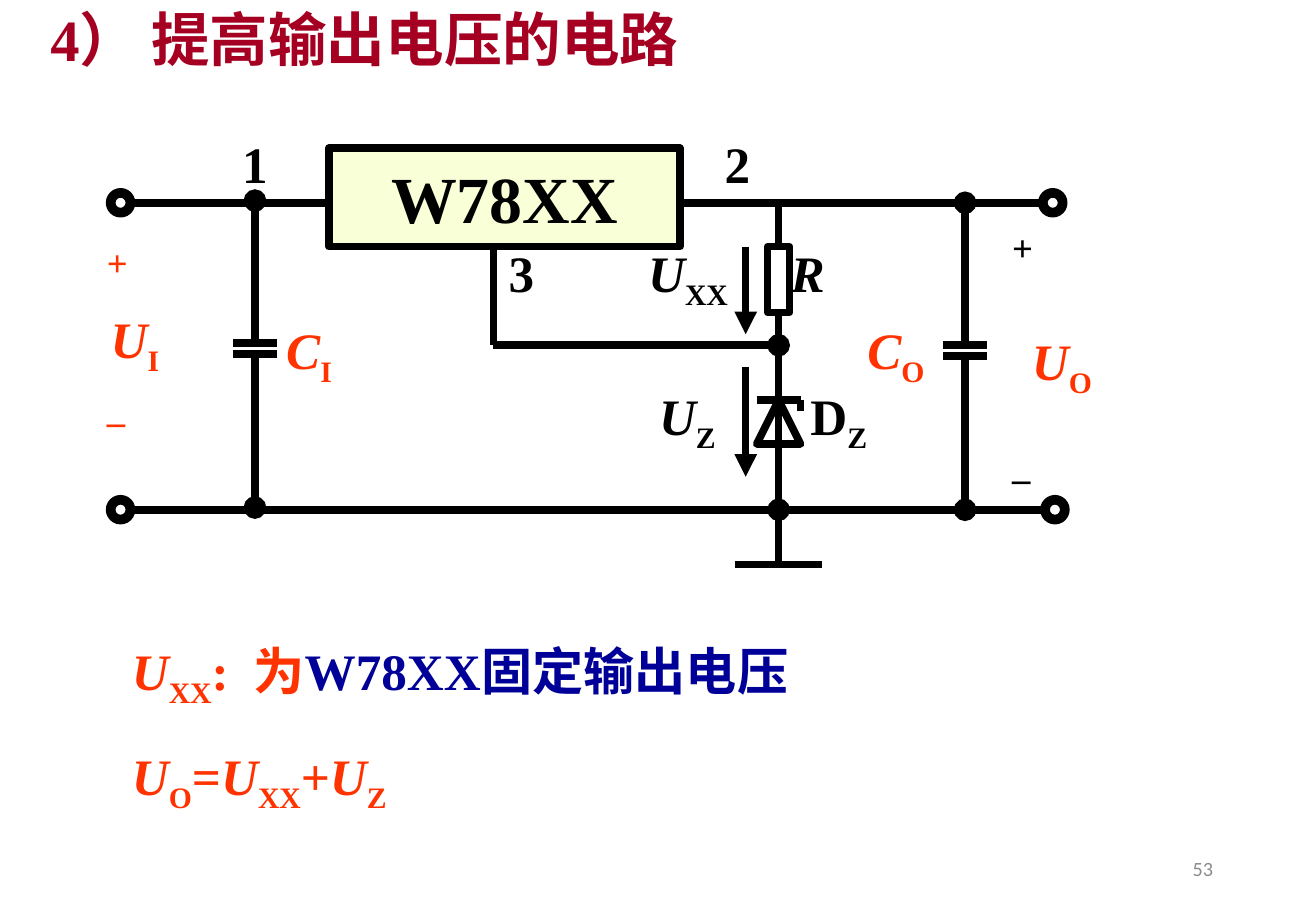
from dataclasses import dataclass

from lxml.etree import SubElement
from pptx import Presentation
from pptx.dml.color import RGBColor
from pptx.enum.shapes import MSO_CONNECTOR, MSO_SHAPE
from pptx.enum.text import MSO_ANCHOR as ANCHOR
from pptx.enum.text import MSO_AUTO_SIZE, PP_ALIGN
from pptx.oxml.ns import qn
from pptx.util import Inches, Pt

BLACK = RGBColor(0x00, 0x00, 0x00)
ORANGE = RGBColor(0xFF, 0x33, 0x00)
NAVY = RGBColor(0x00, 0x00, 0x99)
CRIMSON = RGBColor(0xA5, 0x00, 0x21)
CREAM = RGBColor(0xF9, 0xFF, 0xD7)
GREY = RGBColor(0x8C, 0x8C, 0x8C)
SERIF, SANS = "Times New Roman", "Calibri"
WIDTH, HEIGHT = Inches(10.83), Inches(7.5)
CELL = WIDTH / 120  # the slide is 120 square cells wide
WIRE = Pt(4.5)
SYMBOL_SIZE = 30.3


@dataclass
class Grid:
    """A region whose parts are placed in cells from its top left corner."""
    left: float
    top: float

    def at(self, col, row):
        return round((self.left + col) * CELL), round((self.top + row) * CELL)

    def box(self, col, row, cols, rows):
        return *self.at(col, row), round(cols * CELL), round(rows * CELL)


def share(left, top, width, height):
    return (round(WIDTH * left), round(HEIGHT * top),
            round(WIDTH * width), round(HEIGHT * height))


# Text helpers
def add_run(paragraph, text, size, color, style="", face=SERIF, bold=True):
    """Style letters: i for italic, s for subscript."""
    run = paragraph.add_run()
    run.text = text
    run.font.name, run.font.size, run.font.bold = face, Pt(size), bold
    run.font.italic = "i" in style
    run.font.color.rgb = color
    if "s" in style:
        run._r.get_or_add_rPr().set("baseline", "-25000")


def place(shape, box):
    shape.left, shape.top, shape.width, shape.height = box
    frame = shape.text_frame
    frame.word_wrap = True
    frame.auto_size = MSO_AUTO_SIZE.NONE
    frame.vertical_anchor = ANCHOR.TOP
    return frame


def add_symbol(slide, box, letter, subscript="", color=BLACK, style="i"):
    symbol = place(slide.shapes.add_textbox(*box), box).paragraphs[0]
    add_run(symbol, letter, SYMBOL_SIZE, color, style)
    if subscript:
        add_run(symbol, subscript, SYMBOL_SIZE, color, "s")


def add_polarity(slide, box, color, gap):
    signs = place(slide.shapes.add_textbox(*box), box)
    plus, minus = signs.paragraphs[0], signs.add_paragraph()
    minus.space_before = Pt(gap)
    for paragraph, sign in ((plus, "+"), (minus, "_")):
        paragraph.line_spacing = 1.7
        add_run(paragraph, sign, 21.7, color)


# Circuit helpers
def add_wire(slide, grid, start, end, head=None, tail=None):
    wire = slide.shapes.add_connector(
        MSO_CONNECTOR.STRAIGHT, *grid.at(*start), *grid.at(*end))
    wire.line.color.rgb, wire.line.width = BLACK, WIRE
    for tag, mark in (("a:headEnd", head), ("a:tailEnd", tail)):
        if mark:
            SubElement(wire.line._get_or_add_ln(), qn(tag)).set("type", mark)
    SubElement(wire._element.spPr, qn("a:effectLst"))


def add_part(slide, grid, preset, cells, fill=None):
    part = slide.shapes.add_shape(preset, *grid.box(*cells))
    part.shadow.inherit = False
    part.line.color.rgb, part.line.width = BLACK, WIRE
    if fill is None:
        part.fill.background()
    else:
        part.fill.solid()
        part.fill.fore_color.rgb = fill
    return part


def add_capacitor(slide, grid, col, row):
    """Two plates 4 cells wide between the upper and lower wires."""
    upper, lower = row + 13, row + 14
    add_wire(slide, grid, (col, row), (col, upper), head="oval")
    add_wire(slide, grid, (col, lower), (col, row + 28), tail="oval")
    for plate in (upper, lower):
        add_wire(slide, grid, (col - 2, plate), (col + 2, plate))


def build_circuit(slide, grid):
    # Wires: start, end, head mark, tail mark
    for wire in (
        ((2, 33), (85, 33)), ((2, 5), (20, 5)), ((52, 5), (85, 5)),
        ((35, 9), (35, 18)), ((35, 18), (61, 18), None, "oval"),
        ((61, 5), (61, 9)), ((61, 15), (61, 33)),
        ((61, 33), (61, 38), "oval"), ((57, 38), (65, 38)),
        ((59, 23), (63, 23)), ((63, 23), (63, 24)),
        ((58, 9), (58, 17), None, "triangle"),
        ((58, 20), (58, 30), None, "triangle"),
    ):
        add_wire(slide, grid, *wire)
    add_capacitor(slide, grid, 13.25, 4.8)
    add_capacitor(slide, grid, 78, 5)

    # Terminals, resistor and Zener diode
    for col, row in ((0, 4), (0, 32), (85, 4), (85.2, 32)):
        ring = add_part(slide, grid, MSO_SHAPE.DONUT, (col, row, 2, 2), BLACK)
        ring.adjustments[0] = 0.09
    add_part(slide, grid, MSO_SHAPE.RECTANGLE, (60, 9, 2, 6))
    add_part(slide, grid, MSO_SHAPE.ISOSCELES_TRIANGLE, (59, 23, 4, 4))

    # Regulator
    regulator = add_part(slide, grid, MSO_SHAPE.RECTANGLE, (20, 0, 32, 9), CREAM)
    regulator.text_frame.vertical_anchor = ANCHOR.MIDDLE
    name = regulator.text_frame.paragraphs[0]
    name.alignment = PP_ALIGN.CENTER
    add_run(name, "W78XX", 39, BLACK)

    # Labels: column, row, width, then the symbol
    for col, row, cols, *symbol in (
        (68, 15, 8.5, "C", "O", ORANGE), (15, 15, 14, "C", "I", ORANGE),
        (-1, 14, 11.5, "U", "I", ORANGE), (83, 16, 13.5, "U", "O", ORANGE),
        (48, 8, 10.5, "U", "XX"), (49, 21, 10.5, "U", "Z"),
        (61, 8, 5.5, "R"), (62.8, 21, 11.5, "D", "Z", BLACK, ""),
        (11, -2, 5, "1", "", BLACK, ""), (55, -2, 5, "2", "", BLACK, ""),
        (35.3, 8, 5, "3", "", BLACK, ""),
    ):
        add_symbol(slide, grid.box(col, row, cols, 6.8), *symbol)
    add_polarity(slide, grid.box(-1.35, 5, 4.3, 20.8), ORANGE, 42.4)
    add_polarity(slide, grid.box(81.2, 3.7, 4.3, 27.7), BLACK, 84.8)


def build_title(slide, box):
    heading = place(slide.shapes.title, box).paragraphs[0]
    heading.alignment = PP_ALIGN.LEFT
    add_run(heading, "4） 提高输出电压的电路", 34.7, CRIMSON)


def build_formulas(slide, box):
    formulas = place(slide.placeholders[1], box)
    meaning, total = formulas.paragraphs[0], formulas.add_paragraph()
    for paragraph, spacing in ((meaning, 1.2), (total, 1.5)):
        props = paragraph._p.get_or_add_pPr()
        props.set("marL", "0")
        props.set("indent", "0")
        SubElement(props, qn("a:buNone"))
        stops = SubElement(props, qn("a:tabLst"))
        SubElement(stops, qn("a:tab"), pos=str(Inches(1.22)), algn="l")
        paragraph.space_before = Pt(0)
        paragraph.line_spacing = spacing
    for text, style, color in (("U", "i", ORANGE), ("XX", "s", ORANGE),
                               (":\t为", "", ORANGE),
                               ("W78XX固定输出电压", "", NAVY)):
        add_run(meaning, text, SYMBOL_SIZE, color, style)
    for text, style in (("U", "i"), ("O", "s"), ("=", ""), ("U", "i"),
                        ("XX", "s"), ("+", ""), ("U", "i"), ("Z", "s")):
        add_run(total, text, SYMBOL_SIZE, ORANGE, style)


def build_page_number(slide, box):
    frame = place(slide.shapes.add_textbox(*box), box)
    frame.vertical_anchor = ANCHOR.MIDDLE
    frame.paragraphs[0].alignment = PP_ALIGN.RIGHT
    add_run(frame.paragraphs[0], "53", 12, GREY, face=SANS, bold=False)


def main():
    deck = Presentation()
    deck.slide_width, deck.slide_height = WIDTH, HEIGHT
    slide = deck.slides.add_slide(deck.slide_layouts[1])
    build_circuit(slide, Grid(10, 13.5))
    build_formulas(slide, share(0.091, 0.68, 0.544, 0.185))
    build_title(slide, share(0.029, -0.003, 0.566, 0.081))
    build_page_number(slide, share(0.706, 0.927, 0.225, 0.053))
    deck.save("out.pptx")


if __name__ == "__main__":
    main()
